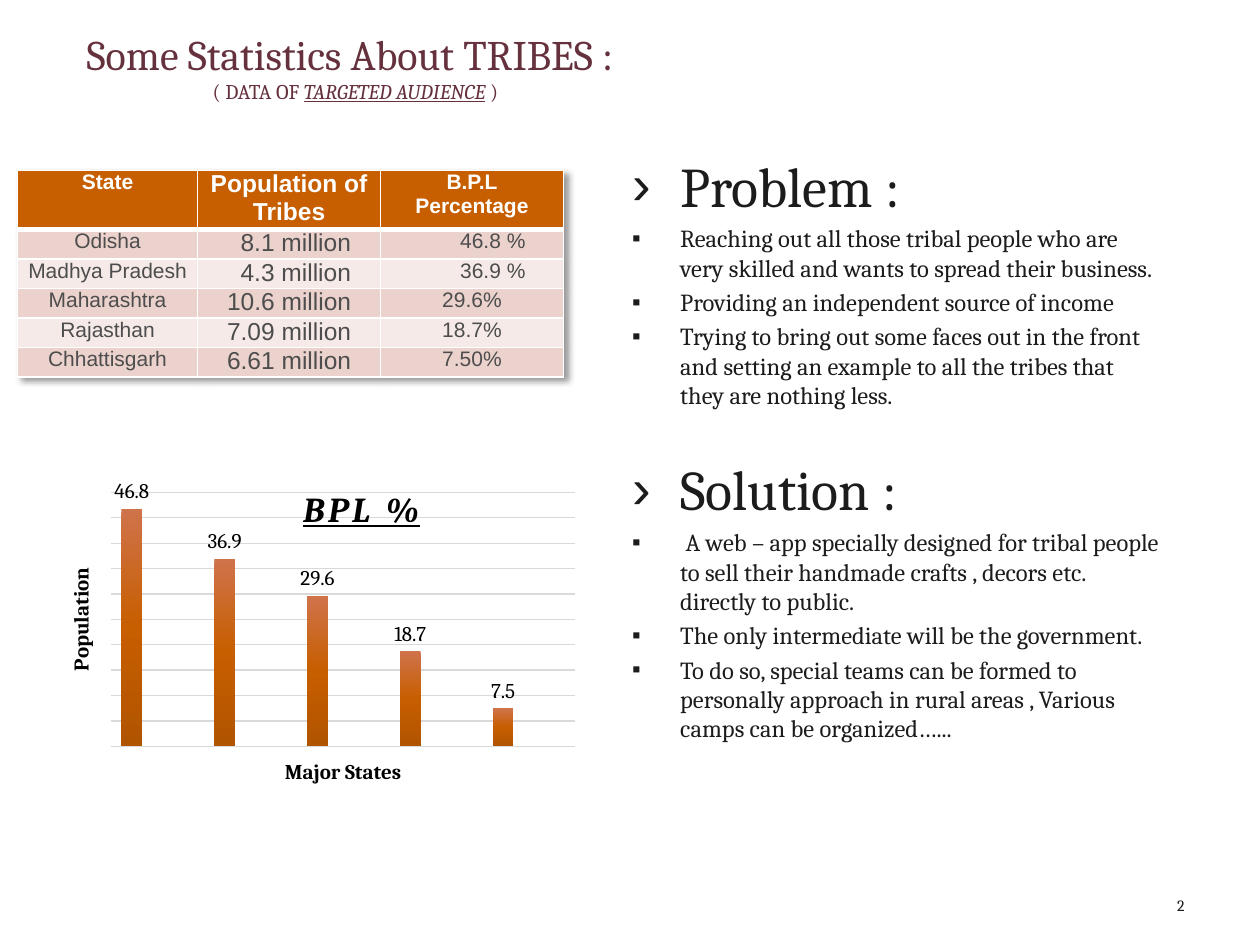
from copy import deepcopy

from lxml.etree import SubElement
from pptx import Presentation
from pptx.chart.data import CategoryChartData
from pptx.dml.color import RGBColor
from pptx.enum.chart import XL_CHART_TYPE as ChartType, XL_LABEL_POSITION as LabelPos
from pptx.enum.text import MSO_ANCHOR as Anchor, PP_ALIGN as Align
from pptx.oxml.ns import qn
from pptx.util import Pt

WHITE = RGBColor(0xFF, 0xFF, 0xFF)
BLACK = RGBColor(0x00, 0x00, 0x00)
INK = RGBColor(0x1C, 0x1C, 0x1C)
GREY = RGBColor(0x4D, 0x4D, 0x4D)
GRID = RGBColor(0xD9, 0xD9, 0xD9)
PLUM = RGBColor(0x65, 0x31, 0x3D)
ORANGE = RGBColor(0xC7, 0x5E, 0x00)
BANDS = RGBColor(0xEB, 0xD2, 0xCC), RGBColor(0xF5, 0xEA, 0xE7)
BAR_SHADES = RGBColor(0xCF, 0x73, 0x4B), ORANGE, RGBColor(0xB1, 0x54, 0x00)

SERIF, SANS = "Cambria", "Arial"
HANG = Pt(27.4)

COLUMN_SIZES = 12, 14, 12
HEADINGS = "State", "Population of Tribes", "B.P.L\nPercentage"
STATES = [
    ("Odisha", "8.1 million", "46.8 %"),
    ("Madhya Pradesh", "4.3 million", "36.9 %"),
    ("Maharashtra", "10.6 million", "29.6%"),
    ("Rajasthan", "7.09 million", "18.7%"),
    ("Chhattisgarh", "6.61 million", "7.50%"),
]
# Left margins of the cells in the rows that are not centred
LEFT_MARGINS = {1: 24.5, 2: 45.5}
LEFT_ROWS = 1, 2

BPL = 46.8, 36.9, 29.6, 18.7, 7.5

SECTIONS = [
    ("Problem :", [
        "Reaching out all those tribal people who are very skilled and wants to spread their business.",
        "Providing an independent source of income",
        "Trying to bring out some faces out in the front and setting an example to all the tribes "
        "that they are nothing less.",
    ]),
    ("Solution :", [
        " A web – app specially designed for tribal people to sell their handmade crafts , decors etc. "
        "directly to public.",
        "The only intermediate will be the government.",
        "To do so, special teams can be formed to personally approach in rural areas , Various camps "
        "can be organized…...",
    ]),
]


def set_font(font, size, color, name=SERIF, bold=None):
    font.size, font.name, font.bold = Pt(size), name, bold
    font.color.rgb = color


def add_text_frame(slide, left, top, width, height, anchor=Anchor.TOP):
    frame = slide.shapes.add_textbox(Pt(left), Pt(top), Pt(width), Pt(height)).text_frame
    frame.word_wrap = True
    frame.vertical_anchor = anchor
    return frame


def next_paragraph(frame):
    first = frame.paragraphs[0]
    return frame.add_paragraph() if first.runs else first


def add_title(slide):
    frame = add_text_frame(slide, 42.5, 3, 391, 60, Anchor.BOTTOM)
    heading = frame.paragraphs[0]
    heading.add_run().text = "Some Statistics About TRIBES :"
    set_font(heading.font, 24, PLUM)

    subtitle = frame.add_paragraph()
    subtitle._p.get_or_add_pPr().set("marL", str(Pt(72)))
    for text in ("( DATA OF ", "TARGETED AUDIENCE", " )"):
        subtitle.add_run().text = text
    set_font(subtitle.font, 12, PLUM)
    audience = subtitle.runs[1].font
    audience.italic = audience.underline = True


def add_bullet(frame, text, bullet, size, space_before):
    paragraph = next_paragraph(frame)
    paragraph.add_run().text = text
    paragraph.space_before = Pt(space_before)
    props = paragraph._p.get_or_add_pPr()
    props.set("marL", str(HANG))
    props.set("indent", str(-HANG))
    SubElement(props, qn("a:buFont")).set("typeface", SANS)
    SubElement(props, qn("a:buChar")).set("char", bullet)
    set_font(paragraph.font, size, INK)


def add_sections(slide):
    frame = add_text_frame(slide, 354.2, 82.8, 316.1, 378.7)
    for index, (heading, points) in enumerate(SECTIONS):
        add_bullet(frame, heading, "›", 32, 26 if index else 0)
        for point in points:
            add_bullet(frame, point, "▪", 14, 2.8)


def add_border(cell, side, width):
    line = SubElement(cell._tc.get_or_add_tcPr(), qn(f"a:ln{side}"), w=str(Pt(width)))
    SubElement(SubElement(line, qn("a:solidFill")), qn("a:srgbClr")).set("val", str(WHITE))


def fill_cell(cell, text, row, column):
    header = row == 0
    for side in "LRTB":
        heavy = (header and side == "B") or (row == 1 and side == "T")
        add_border(cell, side, 3 if heavy else 1)
    cell.fill.solid()
    cell.fill.fore_color.rgb = ORANGE if header else BANDS[(row - 1) % 2]
    indented = row in LEFT_ROWS and column in LEFT_MARGINS
    cell.margin_left = Pt(LEFT_MARGINS[column] if indented else 5)
    cell.margin_right = Pt(5)
    cell.margin_top = cell.margin_bottom = 0
    cell.text = text
    for paragraph in cell.text_frame.paragraphs:
        paragraph.alignment = Align.LEFT if indented else Align.CENTER
        set_font(paragraph.font, COLUMN_SIZES[column], WHITE if header else GREY, SANS, header)


def add_table_shadow(table):
    props = table._tbl.tblPr
    for style in list(props):
        props.remove(style)
    shadow = SubElement(SubElement(props, qn("a:effectLst")), qn("a:outerShdw"),
                        blurRad=str(Pt(4)), dist=str(Pt(3)), dir="2700000")
    color = SubElement(shadow, qn("a:srgbClr"), val=str(BLACK))
    SubElement(color, qn("a:alpha"), val="40000")


def add_state_table(slide):
    rows = [HEADINGS, *STATES]
    table = slide.shapes.add_table(len(rows), len(HEADINGS), Pt(10), Pt(97.5), Pt(312), Pt(110)).table
    add_table_shadow(table)
    for column, width in zip(table.columns, (103, 104.5, 104.5)):
        column.width = Pt(width)
    for r, row in enumerate(rows):
        table.rows[r].height = Pt(15.7 if r else 31)
        for c, text in enumerate(row):
            fill_cell(table.cell(r, c), text, r, c)


def place_in_chart(part, **fractions):
    layout = part.find(qn("c:layout"))
    if layout is None:
        layout = part.makeelement(qn("c:layout"))
        part.insert(0, layout)
    manual = SubElement(layout, qn("c:manualLayout"))
    if "w" in fractions:
        SubElement(manual, qn("c:layoutTarget"), val="inner")
    for axis in "xy":
        SubElement(manual, qn(f"c:{axis}Mode"), val="edge")
    for key, value in fractions.items():
        SubElement(manual, qn(f"c:{key}"), val=str(value))


def shade_bars(series):
    fill = series.format.fill
    fill.gradient()
    fill.gradient_angle = 270
    stops = fill._fill._gradFill.gsLst
    stops.insert(1, deepcopy(stops[0]))
    for stop, position, color in zip(fill.gradient_stops, (0, 0.5, 1), BAR_SHADES):
        stop.position = position
        stop.color.rgb = color


def add_chart_title(chart):
    title = chart.chart_title
    paragraph = title.text_frame.paragraphs[0]
    paragraph.add_run().text = "BPL %"
    set_font(paragraph.font, 20, BLACK, bold=True)
    paragraph.font.italic = paragraph.font.underline = True
    paragraph._p.pPr.find(qn("a:defRPr")).set("spc", "200")
    place_in_chart(title._element, x=0.47, y=0.16)
    title._element.find(qn("c:overlay")).set("val", "1")


def add_bpl_chart(slide):
    data = CategoryChartData()
    data.categories = ["1", "2", "3", "4", "5"]
    for name, values in (("Series 1", BPL), ("Series 2", [None] * 5), ("Series 3", [None] * 5)):
        data.add_series(name, values)
    chart = slide.shapes.add_chart(ChartType.COLUMN_CLUSTERED, Pt(23), Pt(238.3), Pt(312), Pt(226.8), data).chart
    set_font(chart.font, 10, GREY)
    chart.has_legend = False
    add_chart_title(chart)

    # Bars and their values
    plot = chart.plots[0]
    plot.gap_width, plot.overlap, plot.vary_by_categories = 100, -24, False
    plot.has_data_labels = True
    labels = plot.data_labels
    labels.show_value, labels.position = True, LabelPos.OUTSIDE_END
    set_font(labels.font, 12, BLACK)
    for series in plot.series:
        shade_bars(series)

    # Axes
    for axis, text in ((chart.category_axis, "Major States"), (chart.value_axis, "Population")):
        axis.visible = False
        paragraph = axis.axis_title.text_frame.paragraphs[0]
        paragraph.add_run().text = text
        set_font(paragraph.font, 12, BLACK, bold=True)
    scale = chart.value_axis
    scale.minimum_scale, scale.maximum_scale, scale.major_unit = 0, 50, 5
    scale.major_gridlines.format.line.color.rgb = GRID
    scale.major_gridlines.format.line.width = Pt(0.75)
    place_in_chart(chart._chartSpace.chart.plotArea, x=0.13, y=0.19, w=0.85, h=0.64)


def add_page_number(slide):
    number = add_text_frame(slide, 516.2, 508.3, 167.8, 26.6).paragraphs[0]
    number.add_run().text = "2"
    number.alignment = Align.RIGHT
    set_font(number.font, 9, INK)


def main():
    deck = Presentation()
    deck.slide_width, deck.slide_height = Pt(720), Pt(540)
    slide = deck.slides.add_slide(deck.slide_layouts[6])
    add_title(slide)
    add_sections(slide)
    add_page_number(slide)
    add_state_table(slide)
    add_bpl_chart(slide)
    deck.save("out.pptx")


if __name__ == "__main__":
    main()
